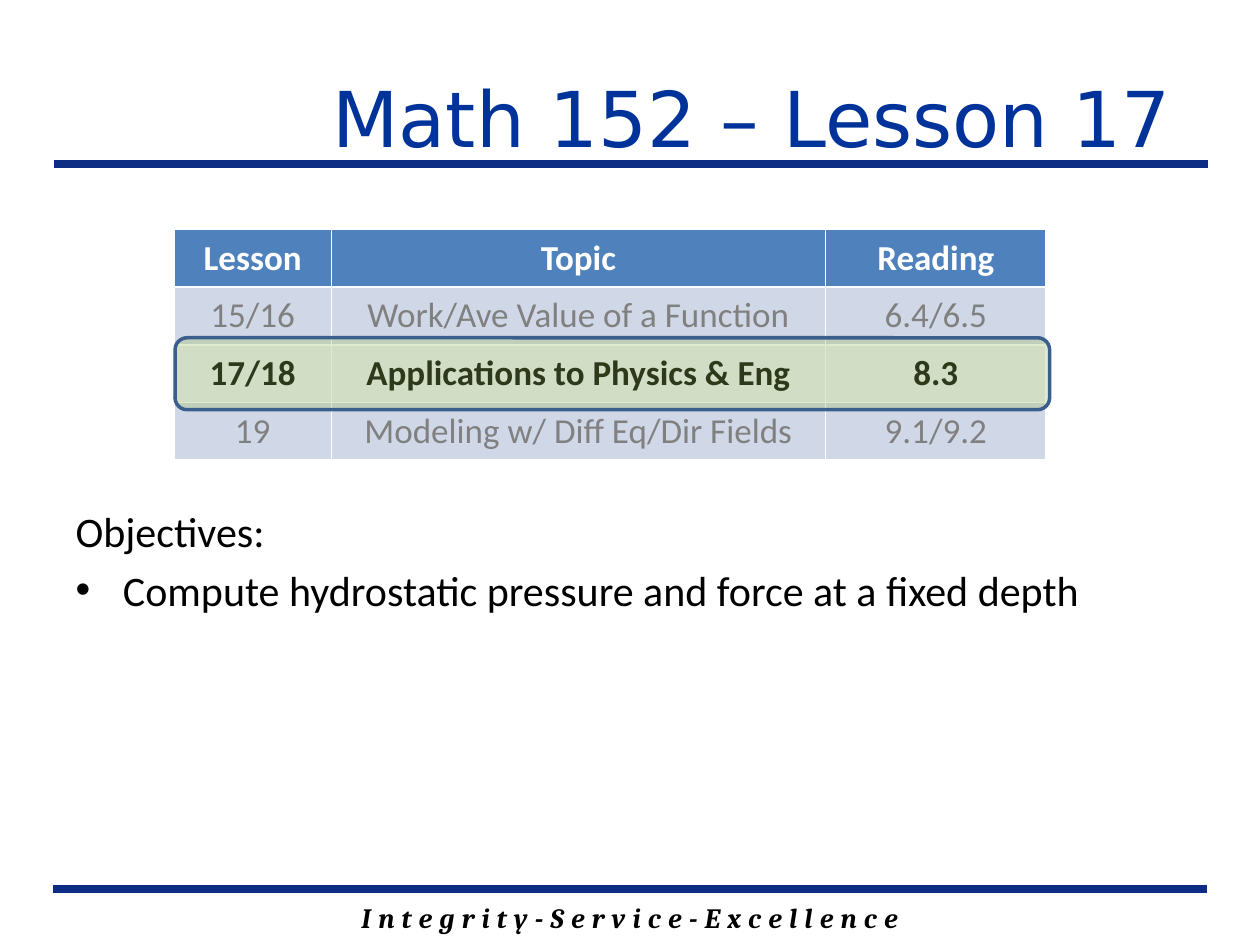
from lxml.etree import SubElement
from pptx import Presentation
from pptx.dml.color import RGBColor
from pptx.enum.shapes import MSO_CONNECTOR, MSO_SHAPE
from pptx.enum.text import MSO_ANCHOR, MSO_AUTO_SIZE, PP_ALIGN
from pptx.oxml.ns import qn
from pptx.util import Cm, Pt

NAVY = RGBColor(0x0C, 0x2D, 0x83)
TITLE_BLUE = RGBColor(0x00, 0x33, 0x99)
HEADER_BLUE = RGBColor(0x4F, 0x81, 0xBD)
BAND_BLUE = RGBColor(0xD0, 0xD8, 0xE8)
BAND_PALE = RGBColor(0xE9, 0xED, 0xF4)
GREEN = RGBColor(0x9B, 0xBB, 0x59)
OUTLINE_BLUE = RGBColor(0x3A, 0x5F, 0x8C)
GRAY = RGBColor(0x80, 0x80, 0x80)
BLACK = RGBColor(0, 0, 0)
WHITE = RGBColor(0xFF, 0xFF, 0xFF)


def write(paragraph, text, color, **formats):
    run = paragraph.add_run()
    run.text = text
    run.font.color.rgb = color
    for name, value in formats.items():
        setattr(run.font, name, value)
    return run


def place(shape, left, top, width, height):
    shape.left, shape.top = Cm(left), Cm(top)
    shape.width, shape.height = Cm(width), Cm(height)


presentation = Presentation()
presentation.slide_width, presentation.slide_height = Cm(25.4), Cm(19.05)
slide = presentation.slides.add_slide(presentation.slide_layouts[1])
title, objectives = slide.placeholders

# Motto at the foot
motto = slide.shapes.add_textbox(Cm(3.61), Cm(18.03), Cm(18.21), Cm(0.94))
motto.text_frame.word_wrap = True
motto_line = motto.text_frame.paragraphs[0]
motto_line.alignment = PP_ALIGN.CENTER
motto_run = write(motto_line, "I n t e g r i t y - S e r v i c e - E x c e l l e n c e", BLACK,
                  name="Cambria", size=Pt(16), bold=True, italic=True)
motto_run.font._element.set("spc", "30")

# Rules below the title and above the motto
for left, top in ((1.07, 17.93), (1.09, 3.3)):
    rule = slide.shapes.add_connector(
        MSO_CONNECTOR.STRAIGHT, Cm(left), Cm(top), Cm(left + 23.27), Cm(top))
    rule.line.color.rgb = NAVY
    rule.line.width = Pt(4.5)
    SubElement(rule._element.spPr, qn("a:effectLst"))

# Title
place(title, 4.57, 0.76, 19.81, 3.18)
title.text_frame.auto_size = MSO_AUTO_SIZE.NONE
title.text_frame.vertical_anchor = MSO_ANCHOR.MIDDLE
heading = title.text_frame.paragraphs[0]
heading.alignment = PP_ALIGN.RIGHT
write(heading, "Math 152 – Lesson 17 ", TITLE_BLUE, name="DejaVu Sans", size=Pt(44))

# Objectives
place(objectives, 1.27, 10.06, 22.86, 8.36)
objectives.text_frame.auto_size = MSO_AUTO_SIZE.NONE
intro = objectives.text_frame.paragraphs[0]
intro.space_before = Pt(0)
intro_properties = intro._p.get_or_add_pPr()
intro_properties.set("marL", "0")
intro_properties.set("indent", "0")
SubElement(intro_properties, qn("a:buNone"))
goal = objectives.text_frame.add_paragraph()
for paragraph, text in (
    (intro, "Objectives:"),
    (goal, "Compute hydrostatic pressure and force at a fixed depth"),
):
    write(paragraph, text, BLACK, name="Calibri", size=Pt(24))

# Lesson schedule: cell texts, fill, text colour, bold
schedule_rows = [
    (("Lesson", "Topic", "Reading"), HEADER_BLUE, WHITE, True),
    (("15/16", "Work/Ave Value of a Function", "6.4/6.5"), BAND_BLUE, GRAY, False),
    (("17/18", "Applications to Physics & Eng", "8.3"), BAND_PALE, BLACK, True),
    (("19", "Modeling w/ Diff Eq/Dir Fields", "9.1/9.2"), BAND_BLUE, GRAY, False),
]
schedule = slide.shapes.add_table(
    len(schedule_rows), 3, Cm(3.51), Cm(4.63), Cm(17.58), Cm(4.64)).table
for column, width in zip(schedule.columns, (3.17, 9.96, 4.45)):
    column.width = Cm(width)
for row, (texts, fill, color, bold) in zip(schedule.rows, schedule_rows):
    row.height = Cm(1.16)
    for cell, text in zip(row.cells, texts):
        cell.fill.solid()
        cell.fill.fore_color.rgb = fill
        cell.vertical_anchor = MSO_ANCHOR.MIDDLE
        entry = cell.text_frame.paragraphs[0]
        entry.alignment = PP_ALIGN.CENTER
        write(entry, text, color, name="Calibri", size=Pt(20), bold=bold)

# Highlight over the current lesson
highlight = slide.shapes.add_shape(
    MSO_SHAPE.ROUNDED_RECTANGLE, Cm(3.53), Cm(6.81), Cm(17.63), Cm(1.45))
highlight.shadow.inherit = False
highlight.fill.solid()
highlight.fill.fore_color.rgb = GREEN
green_fill = highlight._element.spPr.find(qn("a:solidFill")).find(qn("a:srgbClr"))
SubElement(green_fill, qn("a:alpha"), val="30000")
highlight.line.color.rgb = OUTLINE_BLUE
highlight.line.width = Pt(2)

presentation.save("out.pptx")
